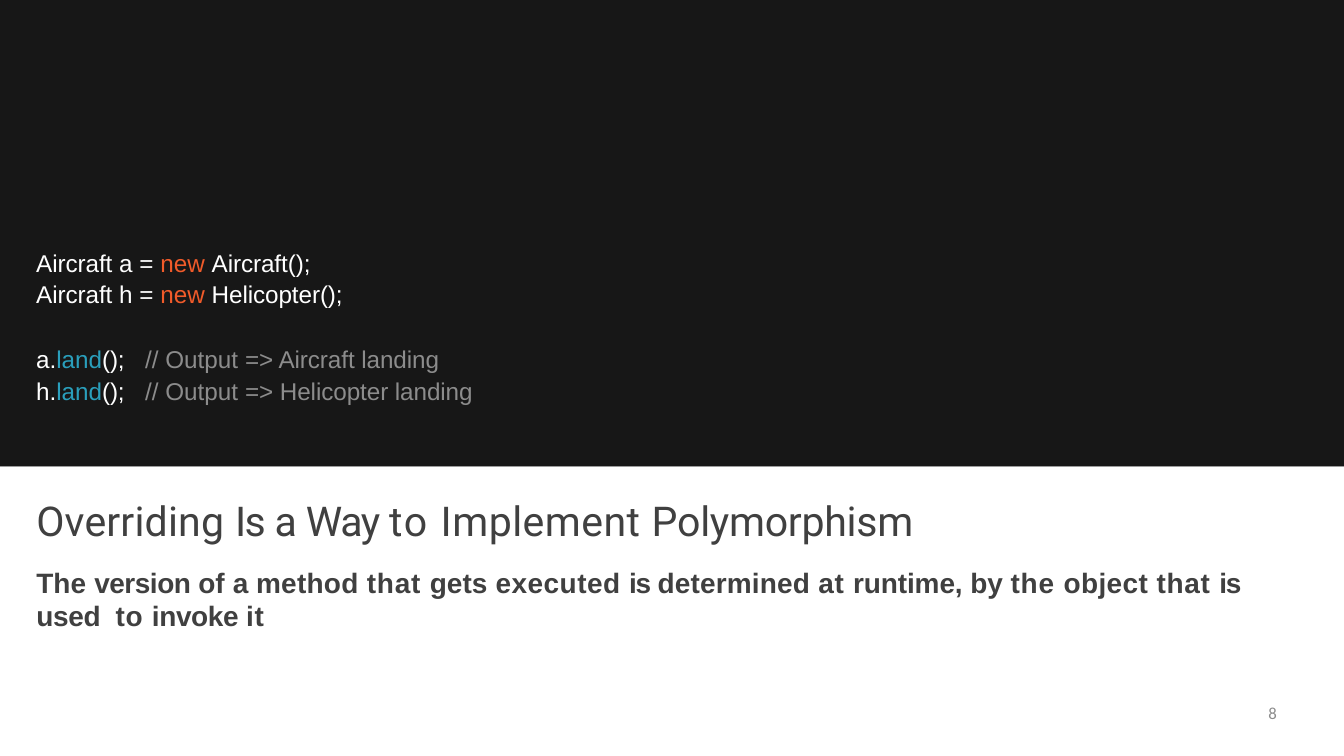
from dataclasses import dataclass, field
from typing import Any, NamedTuple

from lxml.etree import SubElement
from pptx import Presentation
from pptx.dml.color import RGBColor
from pptx.enum.shapes import MSO_SHAPE
from pptx.enum.text import MSO_ANCHOR, MSO_AUTO_SIZE, PP_ALIGN
from pptx.oxml.ns import qn
from pptx.util import Pt

WHITE = RGBColor(0xFF, 0xFF, 0xFF)
BLACK = RGBColor(0x17, 0x17, 0x17)
DARK = RGBColor(0x40, 0x40, 0x40)
GREY = RGBColor(0x8C, 0x8C, 0x8C)
RED = RGBColor(0xF1, 0x5B, 0x2A)
BLUE = RGBColor(0x2A, 0x9F, 0xBC)

WIDE, HIGH, SPLIT = 1440, 810, 500
LEFT, SPAN = 38.16, 1356.48
INDENT = 0.72


class Box(NamedTuple):
    left: float
    top: float
    width: float
    height: float


class Run(NamedTuple):
    text: str
    gap: float = 0
    color: RGBColor | None = None


class Line(NamedTuple):
    runs: list[Run]
    before: float = 0


@dataclass
class Block:
    box: Box
    lines: list[Line]
    size: float
    color: RGBColor
    font: str = "Arial"
    bold: bool = False
    inset: float = 0
    indent: float = INDENT
    format: dict[str, Any] = field(default_factory=dict)


FRAME = {
    "word_wrap": True,
    "auto_size": MSO_AUTO_SIZE.NONE,
    "vertical_anchor": MSO_ANCHOR.TOP,
    "margin_left": 0,
    "margin_right": 0,
    "margin_bottom": 0,
}
PARA = {"alignment": PP_ALIGN.LEFT, "line_spacing": 1.0, "space_after": Pt(0)}


def assign(item: Any, values: dict[str, Any]) -> None:
    for name, value in values.items():
        setattr(item, name, value)


def place(shape: Any, box: Box) -> None:
    assign(shape, {name: Pt(value) for name, value in box._asdict().items()})


def write(shape: Any, block: Block) -> None:
    place(shape, block.box)
    frame = shape.text_frame
    assign(frame, FRAME | {"margin_top": Pt(block.inset)})
    for index, line in enumerate(block.lines):
        para = frame.add_paragraph() if index else frame.paragraphs[0]
        assign(para, PARA | block.format | {"space_before": Pt(line.before)})
        props = para._p.get_or_add_pPr()
        props.set("marL", str(Pt(block.indent)))
        props.set("indent", "0")
        SubElement(props, qn("a:buNone"))
        for part in line.runs:
            run = para.add_run()
            run.text = part.text
            assign(run.font, {"name": block.font, "size": Pt(block.size), "bold": block.bold})
            run.font.color.rgb = part.color or block.color
            run._r.get_or_add_rPr().set("spc", str(round(part.gap * 100)))


def panel(slide: Any, box: Box, color: RGBColor) -> None:
    shape = slide.shapes.add_shape(MSO_SHAPE.RECTANGLE, *map(Pt, box))
    shape.shadow.inherit = False
    shape.fill.solid()
    shape.fill.fore_color.rgb = color
    shape.line.fill.background()
    slide.shapes.element.insert(2, shape.element)


def create(name: str, kind: str) -> list[Run]:
    return [Run("Aircraft ", -0.1), Run(f"{name} = "), Run("new ", 0, RED), Run(f"{kind}();", -0.1)]


def call(name: str) -> list[Run]:
    return [Run(f"{name}.", -0.1), Run("land", -0.1, BLUE), Run("();", -0.1)]


def output(kind: str) -> list[Run]:
    return [Run("// Output "), Run(f"=> {kind} landing", -0.1)]


TITLE = Block(
    Box(LEFT, 530, SPAN, 58),
    [Line([
        Run("Overriding ", 0.2), Run("Is ", -1.6), Run("a ", -1.4), Run("Way ", -1.5),
        Run("to ", 1.7), Run("Implement ", 0.5), Run("Polymorphism", -0.3),
    ], 1)],
    44, DARK, "Roboto", inset=0.72,
)
BODY = Block(
    Box(LEFT, 605.8, SPAN, 74),
    [Line([
        Run("The ", 0.1), Run("version ", -0.5), Run("of ", 0.1), Run("a ", -0.2),
        Run("method ", 0.3), Run("that ", 0.8), Run("gets ", 0.1), Run("executed ", 0.5),
        Run("is ", -1.4), Run("determined ", 0.2), Run("at ", 0.7), Run("runtime, by ", -0.1),
        Run("the ", 0.9), Run("object ", 0.4), Run("that ", 0.8), Run("is ", -1.4),
        Run("used  ", -0.3), Run("to ", 0.7), Run("invoke ", -0.4), Run("it", 0.7),
    ])],
    30, DARK, bold=True,
)
TEXTS = [
    Block(
        Box(LEFT, 262, 340, 70),
        [Line(create("a", "Aircraft"), 1), Line(create("h", "Helicopter"))],
        26, WHITE, inset=0.72, format={"line_spacing": 1.09},
    ),
    Block(Box(LEFT, 365, 97, 70), [Line(call("a"), 3.9), Line(call("h"), 2.9)], 26, WHITE, inset=3.6),
    Block(
        Box(154.8, 365, 355, 70),
        [Line(output("Aircraft"), 3.9), Line(output("Helicopter"), 2.9)],
        26, GREY, inset=3.6,
    ),
    Block(
        Box(1036.8, 753, 331.2, 40), [Line([Run("8")])],
        18, GREY, "Calibri", indent=0, format={"alignment": PP_ALIGN.RIGHT},
    ),
]


def main() -> None:
    deck = Presentation()
    assign(deck, {"slide_width": Pt(WIDE), "slide_height": Pt(HIGH)})
    slide = deck.slides.add_slide(deck.slide_layouts[1])
    panel(slide, Box(0, SPLIT, WIDE, HIGH - SPLIT), WHITE)
    panel(slide, Box(0, 0, WIDE, SPLIT), BLACK)
    write(slide.shapes.title, TITLE)
    write(slide.placeholders[1], BODY)
    for block in TEXTS:
        write(slide.shapes.add_textbox(*map(Pt, block.box)), block)
    deck.save("out.pptx")


if __name__ == "__main__":
    main()
